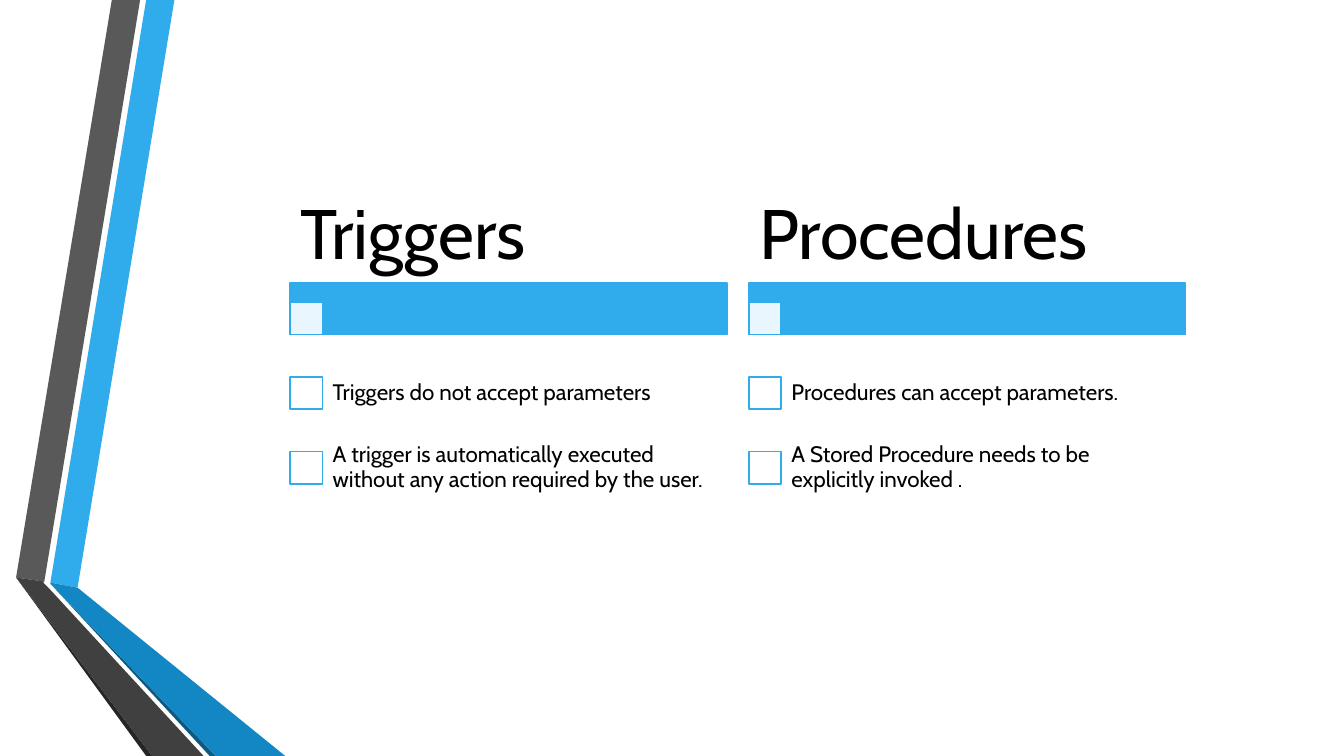
from lxml import etree
from pptx import Presentation
from pptx.dml.color import RGBColor
from pptx.enum.shapes import MSO_SHAPE
from pptx.enum.text import MSO_ANCHOR
from pptx.oxml.ns import qn
from pptx.util import Inches, Pt

COLORS = {
    "blue": "30ACEC", "mid_blue": "1287C3", "deep_blue": "0C5A82",
    "gray": "595959", "dark_gray": "404040", "near_black": "262626",
    "white": "FFFFFF", "text": "000000",
}

prs = Presentation()
prs.slide_width, prs.slide_height = Inches(13.33), Inches(7.5)
s = prs.slides.add_slide(prs.slide_layouts[6])


def add_box(left, top, width, height, fill):
    sp = s.shapes.add_shape(MSO_SHAPE.RECTANGLE, Inches(left), Inches(top),
                            Inches(width), Inches(height))
    sp.shadow.inherit = False
    sp.fill.solid()
    sp.fill.fore_color.rgb = RGBColor.from_string(COLORS[fill])
    sp.line.color.rgb = RGBColor.from_string(COLORS["blue"])
    sp.line.width = Pt(1.25)
    return sp


def add_text(text, left, top, width, height, size, inset_x, inset_y):
    sp = s.shapes.add_textbox(Inches(left), Inches(top), Inches(width), Inches(height))
    tf = sp.text_frame
    frame_format = {
        "word_wrap": True, "vertical_anchor": MSO_ANCHOR.MIDDLE,
        "margin_left": Inches(inset_x), "margin_right": Inches(inset_x),
        "margin_top": Inches(inset_y), "margin_bottom": Inches(inset_y),
    }
    for name, value in frame_format.items():
        setattr(tf, name, value)
    p = tf.paragraphs[0]
    p.line_spacing = 0.9
    r = p.add_run()
    r.text = text
    for name, value in {"name": "Cabin", "size": Pt(size)}.items():
        setattr(r.font, name, value)
    r.font.color.rgb = RGBColor.from_string(COLORS["text"])


# Folded ribbons on the left edge
ribbons = [
    ("blue", [(0.5, 5.78), (0.77, 5.83), (1.73, 0), (1.45, 0)]),
    ("gray", [(1.39, 0), (1.11, 0), (0.16, 5.73), (0.44, 5.77)]),
    ("near_black", [(0.16, 5.73), (1.45, 7.5), (1.51, 7.5)]),
    ("deep_blue", [(0.5, 5.79), (2.08, 7.5), (2.14, 7.5)]),
    ("mid_blue", [(0.5, 5.79), (2.14, 7.5), (2.83, 7.5), (0.77, 5.83), (0.5, 5.78)]),
    ("dark_gray", [(2.02, 7.5), (0.48, 5.83), (0.43, 5.78), (0.44, 5.77),
                   (0.16, 5.73), (1.51, 7.5)]),
]
for color, points in ribbons:
    corners = [(Inches(x), Inches(y)) for x, y in points]
    builder = s.shapes.build_freeform(*corners[0])
    builder.add_line_segments(corners[1:], close=True)
    sp = builder.convert_to_shape()
    sp.shadow.inherit = False
    sp.fill.solid()
    sp.fill.fore_color.rgb = RGBColor.from_string(COLORS[color])
    sp.line.fill.background()

# Comparison columns: heading, bar and checkbox items
columns = [
    ("Triggers", ["Triggers do not accept parameters",
                  "A trigger is automatically executed without any action "
                  "required by the user."]),
    ("Procedures", ["Procedures can accept parameters.",
                    "A Stored Procedure needs to be explicitly invoked ."]),
]
COLUMN_W, COLUMN_STEP, ROW_H, CHECK = 4.33, 4.55, 0.74, 0.32
for col, (heading, items) in enumerate(columns):
    left = 2.88 + col * COLUMN_STEP
    add_box(left, 2.81, COLUMN_W, 0.51, "blue")
    marker = add_box(left, 3, CHECK, CHECK, "white")
    fill_color = marker.fill._xPr.find(qn("a:solidFill"))[0]
    etree.SubElement(fill_color, qn("a:alpha"), val="90000")
    add_text(heading, left, 1.89, COLUMN_W, 0.92, 50, 0.1, 0.07)

    for row, item in enumerate(items):
        top = 3.53 + row * ROW_H
        add_box(left, top + (ROW_H - CHECK) / 2, CHECK, CHECK, "white")
        add_text(item, left + 0.3, top, COLUMN_W - 0.3, ROW_H, 16, 0.12, 0.12)

prs.save("out.pptx")
